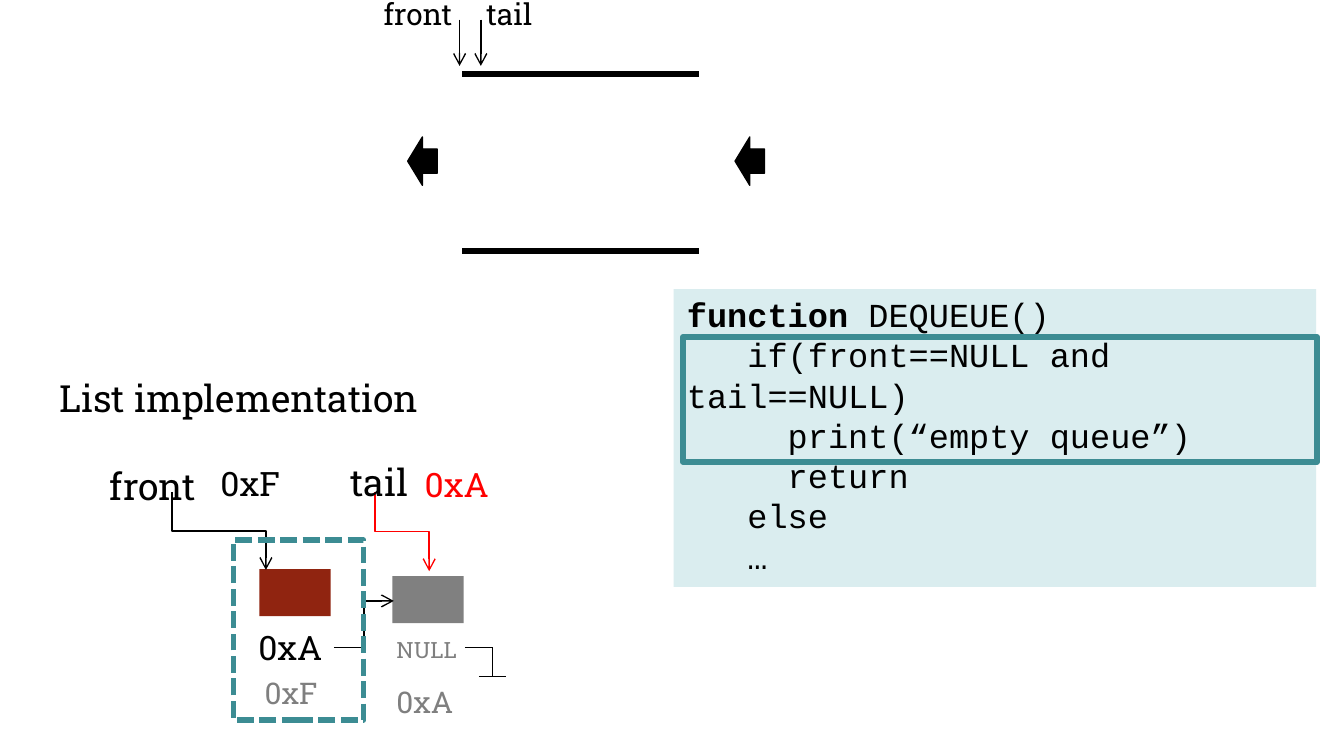
from dataclasses import dataclass

from lxml.etree import SubElement
from pptx import Presentation
from pptx.dml.color import RGBColor
from pptx.enum.dml import MSO_LINE
from pptx.enum.shapes import MSO_CONNECTOR, MSO_SHAPE
from pptx.enum.text import MSO_ANCHOR, MSO_AUTO_SIZE, PP_ALIGN
from pptx.oxml.ns import qn
from pptx.util import Pt

BLACK = RGBColor(0x00, 0x00, 0x00)
RED = RGBColor(0xFF, 0x00, 0x00)
GRAY = RGBColor(0x7F, 0x7F, 0x7F)
NODE_GRAY = RGBColor(0x80, 0x80, 0x80)
BRICK = RGBColor(0x90, 0x24, 0x10)
TEAL = RGBColor(0x3C, 0x8C, 0x93)
PALE_TEAL = RGBColor(0xDA, 0xED, 0xEF)
SLAB = "Roboto Slab"
MONO = "Courier New"


@dataclass
class Label:
    text: str
    x: float
    y: float
    w: float
    h: float
    size: float
    color: RGBColor = BLACK
    align: PP_ALIGN = PP_ALIGN.LEFT
    side_inset: float = 0


@dataclass
class Link:
    x1: float
    y1: float
    x2: float
    y2: float
    color: RGBColor = BLACK
    width: float = 0.75
    arrow: bool = False
    elbow: bool = False
    vertical_start: bool = False


@dataclass
class Box:
    x: float
    y: float
    w: float
    h: float
    fill: RGBColor | None = None
    line: RGBColor | None = None
    width: float = 3
    dash: MSO_LINE | None = None
    kind: MSO_SHAPE = MSO_SHAPE.RECTANGLE


def add_run(p, text: str, font: str, size: float, color: RGBColor, bold: bool = False):
    r = p.add_run()
    r.text = text
    r.font.name = font
    r.font.size = Pt(size)
    r.font.bold = bold
    r.font.color.rgb = color


def draw_label(s, label: Label):
    tf = s.shapes.add_textbox(Pt(label.x), Pt(label.y), Pt(label.w), Pt(label.h)).text_frame
    tf.word_wrap = True
    tf.margin_left = tf.margin_right = Pt(label.side_inset)
    p = tf.paragraphs[0]
    p.alignment = label.align
    add_run(p, label.text, SLAB, label.size, label.color)


def draw_link(s, link: Link):
    x1, y1, x2, y2 = link.x1, link.y1, link.x2, link.y2
    if link.vertical_start:
        # Lay the elbow on its side; the 270 degree turn brings its ends into place.
        cx, cy = (x1 + x2) / 2, (y1 + y2) / 2
        dx, dy = x2 - x1, y2 - y1
        x1, y1, x2, y2 = cx + dy / 2, cy - dx / 2, cx - dy / 2, cy + dx / 2
    kind = MSO_CONNECTOR.ELBOW if link.elbow else MSO_CONNECTOR.STRAIGHT
    connector = s.shapes.add_connector(kind, Pt(x1), Pt(y1), Pt(x2), Pt(y2))
    connector.line.color.rgb = link.color
    connector.line.width = Pt(link.width)
    sp_pr = connector.element.spPr
    if link.vertical_start:
        sp_pr.find(qn("a:xfrm")).set("rot", str(270 * 60000))
    if link.arrow:
        SubElement(sp_pr.find(qn("a:ln")), qn("a:tailEnd"), type="arrow")
    SubElement(sp_pr, qn("a:effectLst"))


def draw_box(s, box: Box):
    sp = s.shapes.add_shape(box.kind, Pt(box.x), Pt(box.y), Pt(box.w), Pt(box.h))
    sp.shadow.inherit = False
    if box.fill is None:
        sp.fill.background()
    else:
        sp.fill.solid()
        sp.fill.fore_color.rgb = box.fill
    if box.line is None:
        sp.line.fill.background()
    else:
        sp.line.color.rgb = box.line
        sp.line.width = Pt(box.width)
        if box.dash is not None:
            sp.line.dash_style = box.dash
    return sp


def draw_title(s, text: str):
    title = s.shapes.title
    title.left, title.top, title.width, title.height = Pt(24.5), Pt(197.3), Pt(241), Pt(34.5)
    tf = title.text_frame
    tf.auto_size = MSO_AUTO_SIZE.NONE
    tf.vertical_anchor = MSO_ANCHOR.TOP
    p = tf.paragraphs[0]
    p.alignment = PP_ALIGN.LEFT
    add_run(p, text, SLAB, 20, BLACK)


def draw_code(s, box: Box, lines: list[list[tuple[str, bool]]]):
    tf = draw_box(s, box).text_frame
    tf.word_wrap = True
    tf.vertical_anchor = MSO_ANCHOR.TOP
    tf.margin_top = Pt(2.5)
    for i, line in enumerate(lines):
        p = tf.add_paragraph() if i else tf.paragraphs[0]
        p.alignment = PP_ALIGN.LEFT
        for text, bold in line:
            add_run(p, text, MONO, 18, BLACK, bold)


QUEUE_WALLS = [Link(374.4, y, 247.7, y, width=3) for y in (39.8, 134.6)]
QUEUE_POINTERS = [Link(x, 10.5, x, 35.3, arrow=True) for x in (246.2, 257.6)]
QUEUE_ARROWS = [
    Box(x, 73.4, 15.8, 25.9, BLACK, BLACK, 0.75, kind=MSO_SHAPE.LEFT_ARROW)
    for x in (218.4, 393.8)
]
NODES = [Box(139, 304.9, 38.2, 25.2, BRICK), Box(210.2, 308.7, 38.2, 25.2, NODE_GRAY)]
LIST_LINKS = [
    Link(92.2, 263.5, 142.4, 305.3, arrow=True, elbow=True, vertical_start=True),
    Link(200.9, 263.5, 229.9, 306, RED, arrow=True, elbow=True, vertical_start=True),
    Link(178.9, 346.9, 211, 322, arrow=True, elbow=True),
]
NULL_SYMBOL = [
    Link(249.1, 346.9, 263.8, 346.9),
    Link(263.8, 346.9, 263.8, 362.6),
    Link(256.6, 362.6, 271.1, 362.6),
]
LABELS = [
    Label("front", 194.4, -5.8, 59, 32.4, 16, align=PP_ALIGN.CENTER, side_inset=7.2),
    Label("tail", 243.4, -5.8, 59, 32.4, 16, align=PP_ALIGN.CENTER, side_inset=7.2),
    Label("front", 51.8, 244.8, 73.4, 34.5, 20, side_inset=7.2),
    Label("tail", 180.7, 242.6, 73.4, 34.5, 20, side_inset=7.2),
    Label("0xF", 118.1, 244.4, 41, 23, 18),
    Label("0xA", 227.5, 245.2, 41, 23, 18, RED),
    Label("0xA", 138.4, 332.4, 41, 23, 18),
    Label("0xF", 141.8, 357.8, 34, 23, 16, GRAY),
    Label("NULL", 212.4, 337, 37, 23, 12, GRAY),
    Label("0xA", 212.4, 362.9, 34, 23, 16, GRAY),
]
CODE_PANEL = Box(360.9, 154.9, 344.2, 159.6, PALE_TEAL)
CODE = [
    [("function", True), (" DEQUEUE()", False)],
    [("   if(front==NULL and tail==NULL)", False)],
    [("     print(“empty queue”)", False)],
    [("     return", False)],
    [("   else", False)],
    [("   …", False)],
]
HIGHLIGHTS = [
    Box(365.8, 180.5, 339.8, 67, line=TEAL),
    Box(125.1, 289.4, 69.8, 96.3, line=TEAL, dash=MSO_LINE.SQUARE_DOT),
]


def main():
    prs = Presentation()
    prs.slide_width, prs.slide_height = Pt(720), Pt(405)
    s = prs.slides.add_slide(prs.slide_layouts[5])
    draw_title(s, "List implementation")
    draw_code(s, CODE_PANEL, CODE)
    for box in QUEUE_ARROWS + NODES:
        draw_box(s, box)
    for link in QUEUE_WALLS + QUEUE_POINTERS + LIST_LINKS + NULL_SYMBOL:
        draw_link(s, link)
    for label in LABELS:
        draw_label(s, label)
    for box in HIGHLIGHTS:
        draw_box(s, box)
    prs.save("out.pptx")


if __name__ == "__main__":
    main()
